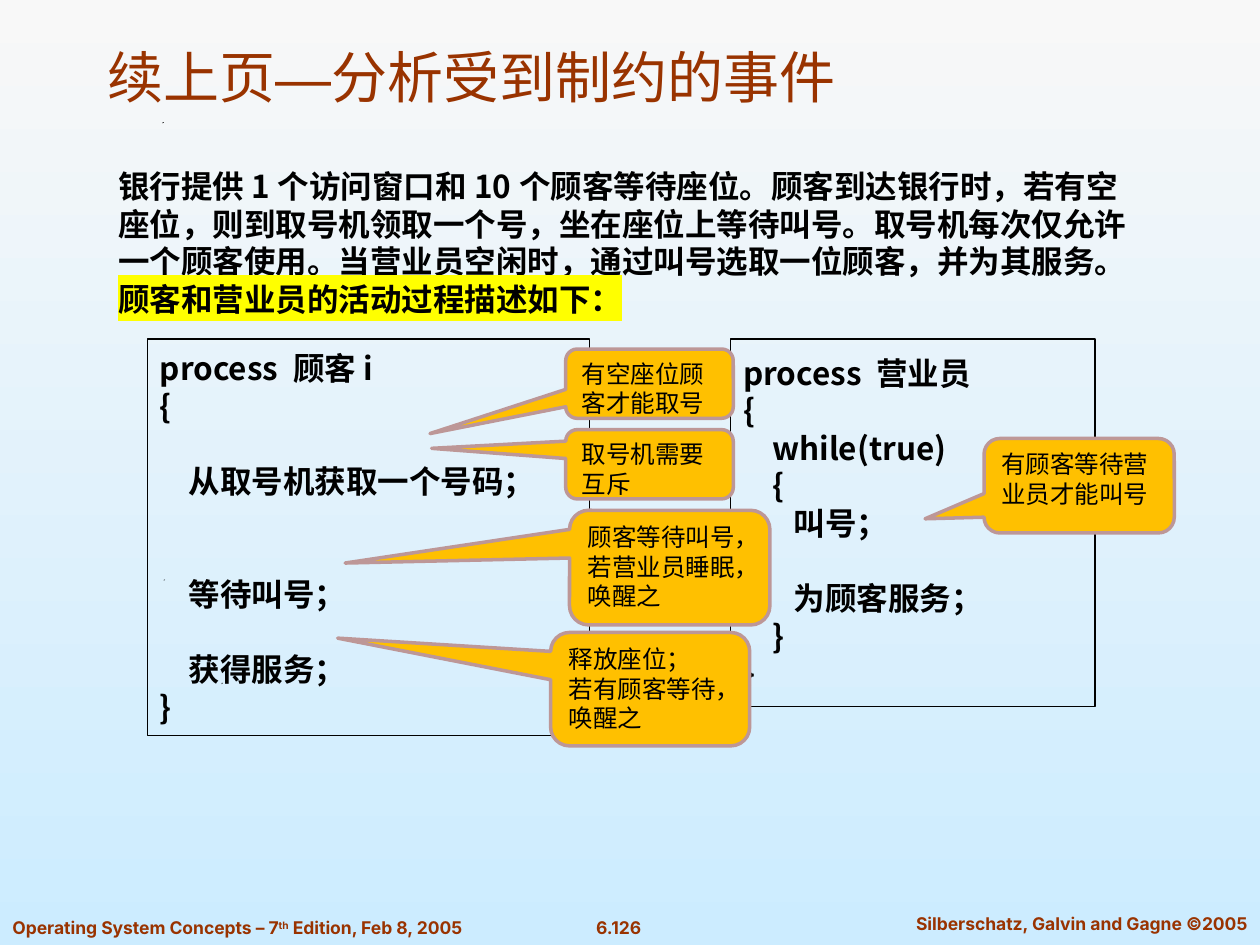
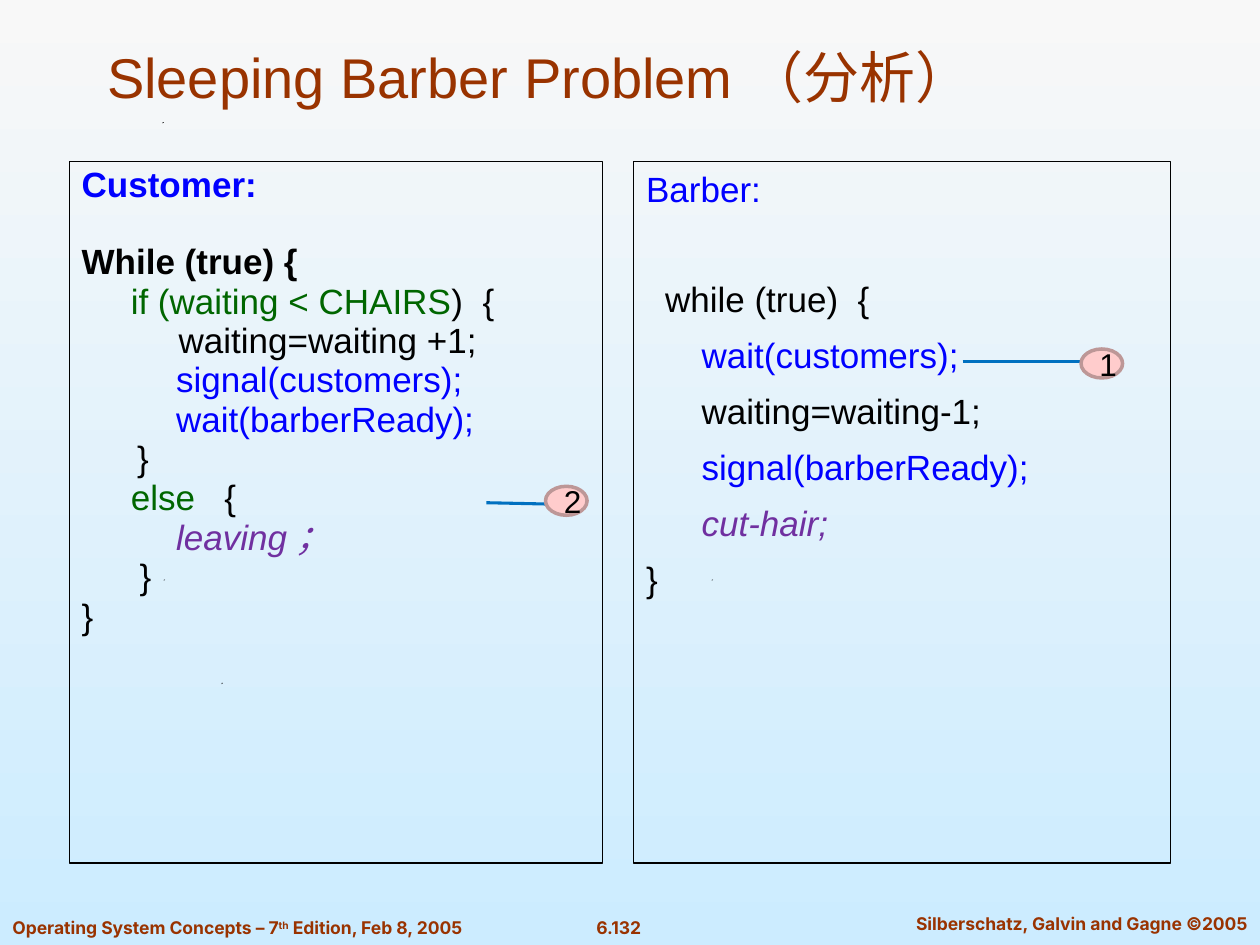
"""Build two operating-systems slides on process synchronisation."""
import pptx
import pptx.dml.color
import pptx.enum.shapes
import pptx.enum.text
import pptx.oxml.ns
import pptx.util
from lxml import etree

Inches = pptx.util.Inches
Pt = pptx.util.Pt
RGBColor = pptx.dml.color.RGBColor
SHAPE = pptx.enum.shapes.MSO_SHAPE
ALIGN = pptx.enum.text.PP_ALIGN
ANCHOR = pptx.enum.text.MSO_ANCHOR
qn = pptx.oxml.ns.qn

BLACK = RGBColor(0x00, 0x00, 0x00)
RUST = RGBColor(0x99, 0x33, 0x00)
BLUE = RGBColor(0x00, 0x00, 0xFF)
GREEN = RGBColor(0x00, 0x66, 0x00)
PURPLE = RGBColor(0x70, 0x30, 0xA0)
AMBER = RGBColor(0xFF, 0xC0, 0x00)
PINK = RGBColor(0xFF, 0xCC, 0xCC)
MAUVE = RGBColor(0xBD, 0x97, 0x97)
LINK_BLUE = RGBColor(0x00, 0x70, 0xC0)
SKY = (RGBColor(0xF8, 0xF8, 0xF8), RGBColor(0xCC, 0xEC, 0xFF))
HIGHLIGHT = "FFFF00"

SANS = "Arial"
CJK = "Noto Sans CJK SC"
LINE = 21.5
TITLE = dict(name=SANS, size=Pt(32), bold=False, color=RUST)
FOOTER = dict(name="Inter", size=Pt(10), bold=True, color=RUST)
PROCESS = dict(name=CJK, size=Pt(18), bold=True, color=BLACK)
NOTE = dict(name=SANS, size=Pt(14), bold=False, color=BLACK)
CODE = dict(name=SANS, size=Pt(20), bold=False, color=BLACK)
BADGE = dict(name=SANS, size=Pt(18), bold=False, color=BLACK)

SPECKS = ((1.29, 0.97), (1.3, 4.6), (1.76, 5.42), (5.65, 4.6))


def add_run(paragraph, text, style):
    """Append one run formatted from a style dict."""
    run = paragraph.add_run()
    run.text = text
    for key, value in style.items():
        if key == "color":
            run.font.color.rgb = value
        elif key not in ("highlight", "baseline"):
            setattr(run.font, key, value)
    properties = run.font._element
    latin = properties.find(qn("a:latin"))
    east_asian = etree.Element(qn("a:ea"), typeface=style["name"])
    latin.addnext(east_asian)
    if "highlight" in style:
        highlight = etree.Element(qn("a:highlight"))
        etree.SubElement(highlight, qn("a:srgbClr"), val=style["highlight"])
        latin.addprevious(highlight)
    if "baseline" in style:
        properties.set("baseline", style["baseline"])


def write(shape, lines, style, anchor=ANCHOR.TOP, **layout):
    """Write lines of (runs, indent, space before) into a shape."""
    frame = shape.text_frame
    for key, value in dict(word_wrap=True, vertical_anchor=anchor).items():
        setattr(frame, key, value)
    for index, (runs, indent, before) in enumerate(lines):
        paragraph = frame.paragraphs[0] if index == 0 else frame.add_paragraph()
        settings = dict(alignment=ALIGN.LEFT, space_before=Pt(before)) | layout
        for key, value in settings.items():
            setattr(paragraph, key, value)
        if indent:
            paragraph._p.get_or_add_pPr().set("marL", str(Inches(indent)))
        for text, changes in runs:
            add_run(paragraph, text, style | changes)


def plain(text, indent=0, before=0, **changes):
    """Return a line that holds a single run."""
    return [(text, changes)], indent, before


def add_text(slide, box, lines, style, **layout):
    """Add a wrapped text box."""
    label = slide.shapes.add_textbox(*map(Inches, box))
    write(label, lines, style, **layout)


def add_box(slide, kind, box, fill, outline, width):
    """Add a preset shape with a fill, an outline and no shadow."""
    shape = slide.shapes.add_shape(kind, *map(Inches, box))
    shape.shadow.inherit = False
    if fill is None:
        shape.fill.background()
    else:
        shape.fill.solid()
        shape.fill.fore_color.rgb = fill
    shape.line.color.rgb = outline
    shape.line.width = Pt(width)
    return shape


def add_panel(slide, box, lines, style, **layout):
    """Add a thin outlined panel of process code."""
    panel = add_box(slide, SHAPE.RECTANGLE, box, None, BLACK, 0.75)
    write(panel, lines, style, **layout)


def add_callout(slide, box, tip, *texts):
    """Add an amber speech bubble pointing at a code line."""
    callout = add_box(slide, SHAPE.ROUNDED_RECTANGULAR_CALLOUT, box, AMBER, MAUVE, 2)
    for index, value in enumerate((*tip, 0.167)):
        callout.adjustments[index] = value
    write(callout, [plain(text) for text in texts], NOTE, line_spacing=Pt(16.8))


def add_badge(slide, number, left, top, start, end):
    """Add a numbered oval joined to a code line."""
    link = slide.shapes.add_connector(
        pptx.enum.shapes.MSO_CONNECTOR.STRAIGHT, *map(Inches, (*start, *end)))
    link.line.color.rgb = LINK_BLUE
    link.line.width = Pt(1.75)
    etree.SubElement(link._element.spPr, qn("a:effectLst"))
    oval = add_box(slide, SHAPE.OVAL, (left, top, 0.33, 0.23), PINK, MAUVE, 2)
    write(oval, [plain(number)], BADGE, ANCHOR.MIDDLE, alignment=ALIGN.CENTER)


def add_specks(slide):
    """Add the tiny black marks of the slide design."""
    for left, top in SPECKS:
        builder = slide.shapes.build_freeform(Inches(left), Inches(top + 0.01))
        builder.add_line_segments(
            [(Inches(left + 0.01), Inches(top)), (Inches(left), Inches(top))])
        speck = builder.convert_to_shape()
        speck.shadow.inherit = False
        speck.fill.solid()
        speck.fill.fore_color.rgb = BLACK
        speck.line.fill.background()


def add_slide(deck, title, page):
    """Add a slide with its title and the shared footer."""
    slide = deck.slides.add_slide(deck.slide_layouts[5])
    add_specks(slide)
    add_text(slide, (4.59, 7.23, 0.64, 0.27), [plain(page)], FOOTER,
             alignment=ALIGN.CENTER)
    add_text(slide, (7.1, 7.2, 2.97, 0.27),
             [plain("Silberschatz, Galvin and Gagne ©2005")], FOOTER,
             alignment=ALIGN.CENTER)
    edition = [("Operating System Concepts – 7", {}), ("th", dict(baseline="30000")),
               (" Edition, Feb 8, 2005", {})]
    add_text(slide, (0, 7.23, 4.11, 0.27), [(edition, 0, 0)], FOOTER)
    heading = slide.shapes.title
    bounds = dict(left=0.75, top=0.25, width=8.83, height=0.67)
    for key, value in bounds.items():
        setattr(heading, key, Inches(value))
    write(heading, [plain(title)], TITLE, ANCHOR.BOTTOM)
    heading.text_frame.auto_size = pptx.enum.text.MSO_AUTO_SIZE.NONE
    return slide


def build_bank(deck):
    """Build the bank slide with its constrained events."""
    slide = add_slide(deck, "续上页—分析受到制约的事件", "6.126")
    story = ("银行提供1个访问窗口和10个顾客等待座位。顾客到达银行时，若有空座位，"
             "则到取号机领取一个号，坐在座位上等待叫号。取号机每次仅允许一个顾客使用。"
             "当营业员空闲时，通过叫号选取一位顾客，并为其服务。")
    summary = ("顾客和营业员的活动过程描述如下：", dict(highlight=HIGHLIGHT))
    add_text(slide, (0.84, 1.28, 8.24, 1.32), [([(story, {}), summary], 0, 0)],
             PROCESS, line_spacing=Pt(LINE))

    customer = [
        plain("process 顾客i"),
        plain("{"),
        plain("从取号机获取一个号码；", 0.23, LINE),
        plain("等待叫号；", 0.23, 2 * LINE),
        plain("获得服务；", 0.23, LINE),
        plain("}"),
    ]
    clerk = [
        plain("process 营业员"),
        plain("{"),
        plain("while(true)", 0.23),
        plain("{", 0.23),
        plain("叫号；", 0.4),
        plain("为顾客服务；", 0.4, LINE),
        plain("}", 0.23),
        plain("}"),
    ]
    for box, lines in (((1.17, 2.69, 3.51, 3.15), customer),
                       ((5.8, 2.69, 2.89, 2.92), clerk)):
        add_panel(slide, box, lines, PROCESS, anchor=ANCHOR.MIDDLE,
                  line_spacing=Pt(LINE))

    add_callout(slide, (4.49, 2.77, 1.33, 0.55), (-1.31, 0.72), "有空座位顾客才能取号")
    add_callout(slide, (4.49, 3.41, 1.33, 0.55), (-1.3, -0.23), "取号机需要互斥")
    add_callout(slide, (7.81, 3.48, 1.51, 0.75), (-0.81, 0.35), "有顾客等待营业员才能叫号")
    add_callout(slide, (4.37, 5.02, 1.58, 0.9), (-1.57, -0.45),
                "释放座位；", "若有顾客等待，唤醒之")
    add_callout(slide, (4.52, 4.05, 1.59, 0.91), (-1.62, -0.04),
                "顾客等待叫号，若营业员睡眠，唤醒之")


def build_barber(deck):
    """Build the sleeping barber slide."""
    slide = add_slide(deck, "Sleeping Barber Problem（分析）", "6.132")
    tight, loose = 0.9, 8
    customer = [
        plain("Customer:", color=BLUE, bold=True),
        plain("While (true) {", 0, LINE + tight, bold=True),
        ([("if (waiting < CHAIRS", dict(color=GREEN)), (")  {", {})], 0.39, tight),
        plain("waiting=waiting +1;", 0.77, tight),
        plain("signal(customers);", 0.75, tight, color=BLUE),
        plain("wait(barberReady);", 0.75, tight, color=BLUE),
        plain("}", 0.44, tight),
        ([("else ", dict(color=GREEN)), ("  {", {})], 0.39, tight),
        plain("leaving；", 0.75, tight, color=PURPLE, italic=True),
        plain("}", 0.46, tight),
        plain("}", 0, tight),
    ]
    barber = [
        plain("Barber:", color=BLUE),
        plain("while (true)  {", 0.15, 31 + loose),
        plain("wait(customers);", 0.44, loose, color=BLUE),
        plain("waiting=waiting-1;", 0.44, loose),
        plain("signal(barberReady);", 0.44, loose, color=BLUE),
        plain("cut-hair;", 0.44, loose, color=PURPLE, italic=True),
        plain("}", 0, loose),
    ]
    add_panel(slide, (0.55, 1.28, 4.23, 5.57), customer, CODE, line_spacing=0.9)
    add_panel(slide, (5.03, 1.28, 4.26, 5.57), barber, CODE)
    add_badge(slide, "1", 8.58, 2.77, (7.64, 2.87), (8.58, 2.87))
    add_badge(slide, "2", 4.33, 3.86, (3.86, 3.99), (4.33, 4))


def main():
    """Create the deck and save it."""
    deck = pptx.Presentation()
    deck.slide_width, deck.slide_height = Inches(10), Inches(7.5)
    backdrop = deck.slide_master.background.fill
    backdrop.gradient()
    backdrop.gradient_angle = 270
    for stop, color in zip(backdrop.gradient_stops, SKY):
        stop.color.rgb = color
    build_bank(deck)
    build_barber(deck)
    deck.save("out.pptx")


main()
